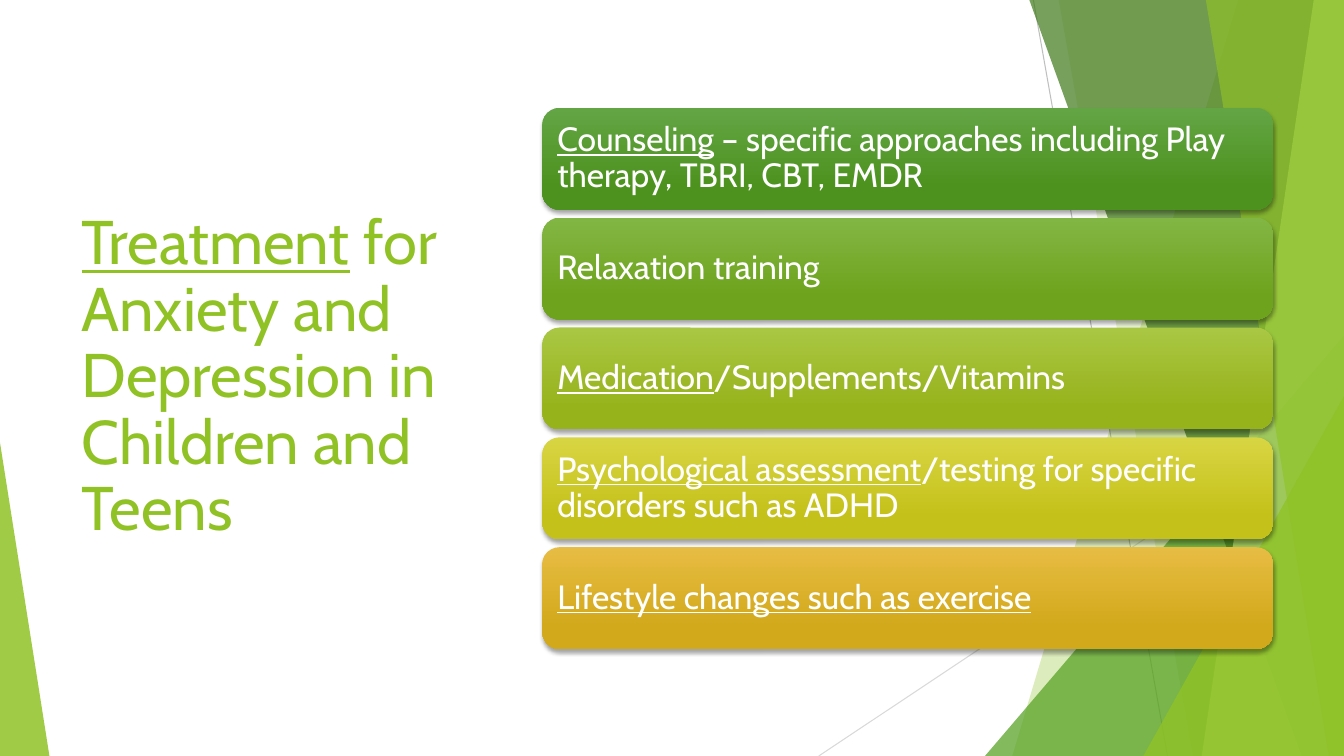
from dataclasses import dataclass

from lxml.etree import SubElement
from pptx import Presentation
from pptx.dml.color import RGBColor
from pptx.enum.shapes import MSO_CONNECTOR, MSO_SHAPE
from pptx.enum.text import MSO_ANCHOR, PP_ALIGN
from pptx.oxml.ns import qn
from pptx.util import Inches, Pt

WIDTH, HEIGHT = Inches(13.33), Inches(7.5)


@dataclass(frozen=True)
class Theme:
    font: str = "Cabin"
    title_size: int = 44
    bar_size: int = 24
    lime: str = "90C226"
    green: str = "54A021"
    forest: str = "3F7819"
    pale: str = "C0E474"
    white: str = "FFFFFF"
    shadow: str = "000000"
    rule_dark: str = "BFBFBF"
    rule_light: str = "D9D9D9"


THEME = Theme()

# Top x, bottom x, colour, opacity; each facet runs to the right edge
BACK_FACETS = [(92.12, 75.32, THEME.lime, 30), (78.77, 88.75, THEME.lime, 20)]
FRONT_FACETS = [
    (76.59, 96.85, THEME.forest, 70),
    (97.75, 89.42, THEME.pale, 70),
    (89.72, 98.87, THEME.lime, 65),
]

# Underlined words, plain words, top colour, bottom colour
TREATMENTS = [
    ("Counseling", " – specific approaches including Play therapy, TBRI, CBT, EMDR",
     "63A545", "4D921E"),
    ("", "Relaxation training", "82B644", "6EA31D"),
    ("Medication", "/Supplements/Vitamins", "AAC744", "97B31C"),
    ("Psychological assessment", "/testing for specific disorders such as ADHD",
     "D8D543", "C4C11A"),
    ("Lifestyle changes such as exercise", "", "E7BC43", "D2A91B"),
]
BAR_LEFT, BAR_WIDTH = 40.36, 54.39
BAR_TOP, BAR_HEIGHT, BAR_PITCH = 14.27, 13.47, 14.53


def across(percent):
    return round(WIDTH * percent / 100)


def down(percent):
    return round(HEIGHT * percent / 100)


def box(left, top, width, height):
    return across(left), down(top), across(width), down(height)


def paint_glass(shape, color, opacity):
    """Give a shape a see-through fill with no line or shadow."""
    shape.shadow.inherit = False
    shape.fill.solid()
    shape.fill.fore_color.rgb = RGBColor.from_string(color)
    tint = shape.element.spPr.find(".//" + qn("a:srgbClr"))
    SubElement(tint, qn("a:alpha"), val=str(opacity * 1000))
    shape.line.fill.background()


def add_facet(slide, top_x, bottom_x, color, opacity):
    outline = slide.shapes.build_freeform(across(top_x), 0)
    outline.add_line_segments([(WIDTH, 0), (WIDTH, HEIGHT), (across(bottom_x), HEIGHT)])
    paint_glass(outline.convert_to_shape(), color, opacity)


def add_corner(slide, left, top, width, apex, color, opacity):
    """Add a triangle standing on the bottom edge, its apex at 0 or 1 of its width."""
    corner = slide.shapes.add_shape(
        MSO_SHAPE.ISOSCELES_TRIANGLE, *box(left, top, width, 100 - top))
    corner.adjustments[0] = apex
    paint_glass(corner, color, opacity)


def add_rule(slide, start, end, color):
    rule = slide.shapes.add_connector(
        MSO_CONNECTOR.STRAIGHT,
        across(start[0]), down(start[1]), across(end[0]), down(end[1]))
    rule.line.color.rgb = RGBColor.from_string(color)
    rule.line.width = Pt(0.75)
    SubElement(rule.element.spPr, qn("a:effectLst"))


def write(shape, underlined, plain, size, color):
    frame = shape.text_frame
    frame.word_wrap = True
    frame.vertical_anchor = MSO_ANCHOR.MIDDLE
    paragraph = frame.paragraphs[0]
    paragraph.alignment = PP_ALIGN.LEFT
    paragraph.line_spacing = 0.9
    paragraph.font.name = THEME.font
    paragraph.font.size = Pt(size)
    paragraph.font.color.rgb = RGBColor.from_string(color)
    for words, underline in ((underlined, True), (plain, False)):
        if words:
            run = paragraph.add_run()
            run.text = words
            run.font.underline = underline


def add_shadow(shape):
    """Add a soft shadow just below a shape."""
    shape.shadow.inherit = False
    effects = shape.element.spPr.find(qn("a:effectLst"))
    shadow = SubElement(effects, qn("a:outerShdw"), blurRad=str(Pt(3)), dist=str(Pt(2)),
                        dir="5400000", rotWithShape="0")
    tint = SubElement(shadow, qn("a:srgbClr"), val=THEME.shadow)
    SubElement(tint, qn("a:alpha"), val="35000")


def add_treatment(slide, row, underlined, plain, top_color, bottom_color):
    bar = slide.shapes.add_shape(
        MSO_SHAPE.ROUNDED_RECTANGLE,
        *box(BAR_LEFT, BAR_TOP + row * BAR_PITCH, BAR_WIDTH, BAR_HEIGHT))
    bar.fill.gradient()
    bar.fill.gradient_angle = 270
    stops = ((0, top_color), (0.78, bottom_color))
    for stop, (position, color) in zip(bar.fill.gradient_stops, stops):
        stop.position = position
        stop.color.rgb = RGBColor.from_string(color)
    bar.line.fill.background()
    add_shadow(bar)
    frame = bar.text_frame
    frame.margin_left = frame.margin_right = Inches(0.1)
    frame.margin_top = frame.margin_bottom = Inches(0.1)
    write(bar, underlined, plain, THEME.bar_size, THEME.white)


def add_backdrop(slide):
    add_rule(slide, (76.89, 0), (86.87, 100), THEME.rule_dark)
    add_rule(slide, (100, 53.73), (60.92, 100), THEME.rule_light)
    for facet in BACK_FACETS:
        add_facet(slide, *facet)
    add_corner(slide, 73.29, 44.4, 26.71, 1, THEME.green, 72)
    for facet in FRONT_FACETS:
        add_facet(slide, *facet)
    add_corner(slide, 85.07, 52.4, 14.93, 1, THEME.lime, 80)
    add_corner(slide, 0, 58.53, 3.68, 0, THEME.lime, 85)


def main():
    deck = Presentation()
    deck.slide_width, deck.slide_height = WIDTH, HEIGHT
    slide = deck.slides.add_slide(deck.slide_layouts[6])
    add_backdrop(slide)
    title = slide.shapes.add_textbox(*box(5.33, 20.13, 29.11, 59.73))
    write(title, "Treatment", " for Anxiety and Depression in Children and Teens",
          THEME.title_size, THEME.lime)
    for row, treatment in enumerate(TREATMENTS):
        add_treatment(slide, row, *treatment)
    deck.save("out.pptx")


if __name__ == "__main__":
    main()
